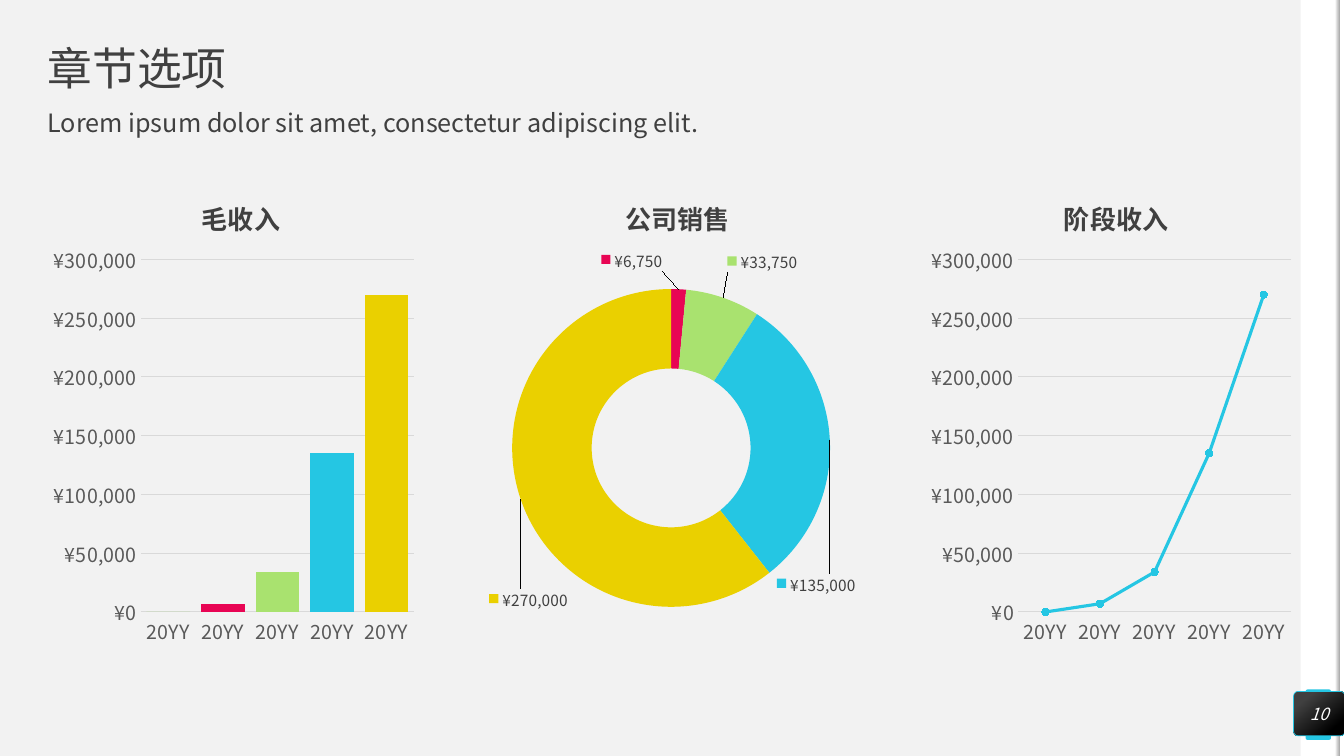
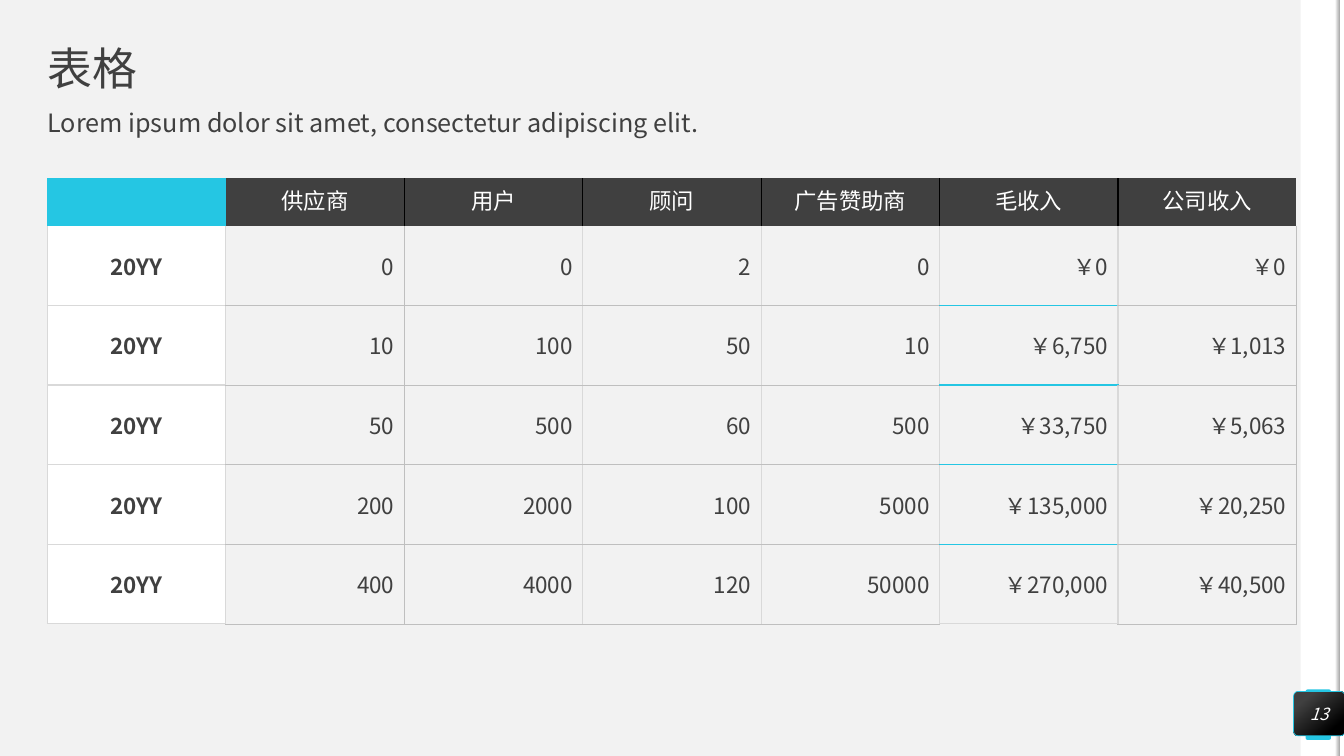
from lxml.etree import SubElement
from pptx import Presentation
from pptx.chart.data import CategoryChartData
from pptx.dml.color import RGBColor
from pptx.enum.chart import XL_CHART_TYPE, XL_MARKER_STYLE, XL_TICK_MARK
from pptx.enum.shapes import MSO_SHAPE
from pptx.enum.text import MSO_ANCHOR, PP_ALIGN
from pptx.oxml import parse_xml
from pptx.oxml.ns import nsdecls, qn
from pptx.util import Inches, Pt

FONT = "Noto Sans CJK SC"
PALE = RGBColor(0xF2, 0xF2, 0xF2)
WHITE = RGBColor(0xFF, 0xFF, 0xFF)
BLACK = RGBColor(0, 0, 0)
INK = RGBColor(0x40, 0x40, 0x40)
GREY = RGBColor(0x59, 0x59, 0x59)
SHADE = RGBColor(0xA6, 0xA6, 0xA6)
RULE = RGBColor(0xBF, 0xBF, 0xBF)
GRID = RGBColor(0xD9, 0xD9, 0xD9)
CYAN = RGBColor(0x25, 0xC6, 0xE3)
LIME = RGBColor(0xA9, 0xE2, 0x6F)
ROSE = RGBColor(0xE8, 0x05, 0x54)
GOLD = RGBColor(0xEA, 0xD0, 0x00)
POINTS = [LIME, ROSE, LIME, CYAN, GOLD]

LEAD = "Lorem ipsum dolor sit amet, consectetur adipiscing elit."
YEN = "[$¥-804]#,##0;[$¥-804]\\-#,##0"
YEARS = ["20YY"] * 5
INCOME = [0, 7000, 34000, 135000, 270000]
SALES = [0, 6750, 33750, 135000, 270000]
CHARTS = [
    ("毛收入", XL_CHART_TYPE.COLUMN_CLUSTERED, YEARS, INCOME),
    ("公司销售", XL_CHART_TYPE.DOUGHNUT, ["1", "2", "3", "4", "5"], SALES),
    ("阶段收入", XL_CHART_TYPE.LINE_MARKERS_STACKED, YEARS, INCOME),
]
# Point number: shift of its label, as shares of the chart's width and height
SHIFTS = {1: (-0.12, -0.14), 2: (0.14, -0.15), 3: (0.07, 0.29), 4: (-0.08, 0.23)}
LEFT, TOP, WIDE, HIGH, STEP = 0.47, 1.65, 3.71, 4.86, 4.35

TABLE = [
    ["", "供应商", "用户", "顾问", "广告赞助商", "毛收入", "公司收入"],
    ["20YY", "0", "0", "2", "0", "￥0", "￥0"],
    ["20YY", "10", "100", "50", "10", "￥6,750", "￥1,013"],
    ["20YY", "50", "500", "60", "500", "￥33,750", "￥5,063"],
    ["20YY", "200", "2000", "100", "5000", "￥135,000", "￥20,250"],
    ["20YY", "400", "4000", "120", "50000", "￥270,000", "￥40,500"],
]
LAST_ROW, LAST_COL, GROSS = len(TABLE) - 1, len(TABLE[0]) - 1, 5


def set_font(font, size, color, bold=False, italic=False):
    font.size, font.bold, font.italic = Pt(size), bold, italic
    font.color.rgb = color
    font.name = FONT
    latin = font._rPr.find(qn("a:latin"))
    latin.addnext(parse_xml(f'<a:ea {nsdecls("a")} typeface="{FONT}"/>'))


def write(frame, text, align=PP_ALIGN.LEFT, spacing=None, **style):
    para = frame.paragraphs[0]
    para.alignment = align
    if spacing:
        para.line_spacing = spacing
    run = para.add_run()
    run.text = text
    set_font(run.font, **style)


def trim(frame, anchor):
    frame.word_wrap, frame.vertical_anchor = True, anchor
    frame.margin_left = frame.margin_right = 0
    frame.margin_top = frame.margin_bottom = 0


def add_text(slide, box, text, anchor=MSO_ANCHOR.TOP, **style):
    frame = slide.shapes.add_textbox(*map(Inches, box)).text_frame
    trim(frame, anchor)
    write(frame, text, **style)


def add_block(slide, box, fill, round_by=None, angle=0):
    """Add a plain shape; fill is one colour or a list of (position, colour)."""
    kind = MSO_SHAPE.RECTANGLE if round_by is None else MSO_SHAPE.ROUNDED_RECTANGLE
    shape = slide.shapes.add_shape(kind, *map(Inches, box))
    shape.shadow.inherit = False
    shape.line.fill.background()
    if round_by is not None:
        shape.adjustments[0] = round_by
    if isinstance(fill, list):
        shape.fill.gradient()
        shape.fill.gradient_angle = angle
        for stop, (place, color) in zip(shape.fill.gradient_stops, fill):
            stop.position, stop.color.rgb = place, color
    else:
        shape.fill.solid()
        shape.fill.fore_color.rgb = fill
    return shape


def add_page(deck, title, number):
    slide = deck.slides.add_slide(deck.slide_layouts[6])
    slide.background.fill.solid()
    slide.background.fill.fore_color.rgb = PALE
    add_block(slide, (12.9, 0, 0.39, 7.5), WHITE)
    add_block(slide, (12.95, 6.84, 0.25, 0.5), CYAN, round_by=0.07)
    add_block(slide, (13.28, 0, 0.05, 7.5), WHITE)
    add_block(slide, (13.24, 0, 0.05, 7.5), [(0, WHITE), (1, SHADE)])
    add_text(slide, (LEFT, 0.47, 12.39, 0.47), title, anchor=MSO_ANCHOR.MIDDLE,
             spacing=0.9, size=32, color=INK)
    add_text(slide, (LEFT, 1.1, 12.39, 0.39), LEAD, spacing=0.9, size=18, color=INK)
    badge = add_block(slide, (12.83, 6.86, 0.51, 0.44), [(0.2, INK), (0.82, BLACK)],
                      round_by=0.1, angle=310)
    badge.line.color.rgb, badge.line.width = CYAN, Pt(0.5)
    trim(badge.text_frame, MSO_ANCHOR.MIDDLE)
    write(badge.text_frame, str(number), align=PP_ALIGN.CENTER,
          size=12, color=WHITE, italic=True)
    return slide


def set_layout(parent, index, inner=False, edge=True, **parts):
    """Place a chart part by shares of the chart's size."""
    for old in parent.findall(qn("c:layout")):
        parent.remove(old)
    layout = parse_xml(f'<c:layout {nsdecls("c")}><c:manualLayout/></c:layout>')
    values = [("layoutTarget", "inner")] if inner else []
    if edge:
        values += [("xMode", "edge"), ("yMode", "edge")]
    for name, value in values + list(parts.items()):
        SubElement(layout[0], qn(f"c:{name}")).set("val", str(value))
    parent.insert(index, layout)


def style_axes(chart):
    for axis in (chart.category_axis, chart.value_axis):
        axis.major_tick_mark = axis.minor_tick_mark = XL_TICK_MARK.NONE
        set_font(axis.tick_labels.font, 14, GREY)
    line = chart.category_axis.format.line
    line.color.rgb, line.width = GRID, Pt(0.75)
    axis = chart.value_axis
    axis.minimum_scale, axis.maximum_scale, axis.major_unit = 0, 300000, 50000
    axis.tick_labels.number_format = YEN
    axis.tick_labels.number_format_is_linked = False
    axis.format.line.fill.background()
    grid = axis.major_gridlines.format.line
    grid.color.rgb, grid.width = GRID, Pt(0.75)


def style_line(series):
    series.smooth = False
    series.format.line.color.rgb, series.format.line.width = CYAN, Pt(2.25)
    mark = series.marker
    mark.style, mark.size = XL_MARKER_STYLE.CIRCLE, 5
    mark.format.fill.solid()
    mark.format.fill.fore_color.rgb = CYAN
    mark.format.line.color.rgb = CYAN


def label_ring(series):
    series.data_labels.show_value = False
    for index, (x, y) in SHIFTS.items():
        set_font(series.points[index].data_label.font, 11, INK)
    for label in series._element.iter(qn("c:dLbl")):
        x, y = SHIFTS[label.idx.val]
        label.find(qn("c:showLegendKey")).set("val", "1")
        form = SubElement(label, qn("c:numFmt"))
        form.set("formatCode", YEN)
        form.set("sourceLinked", "0")
        label.insert(1, form)
        set_layout(label, 1, edge=False, x=x, y=y)


def add_graph(slide, left, title, kind, names, values):
    data = CategoryChartData(number_format=YEN)
    data.categories = names
    data.add_series("Series 1", values)
    box = map(Inches, (left, TOP, WIDE, HIGH))
    chart = slide.shapes.add_chart(kind, *box, data).chart
    chart.has_legend = False
    chart.has_title = True
    write(chart.chart_title.text_frame, title, align=PP_ALIGN.CENTER,
          size=18.6, color=INK, bold=True)
    half = len(title) * 18.6 / 72 / WIDE / 2
    set_layout(chart.chart_title._element, 1, x=round(0.5 - half, 2), y=0.05)
    ring = kind == XL_CHART_TYPE.DOUGHNUT
    x, y, w, h = (0.07, 0.25, 0.85, 0.65) if ring else (0.25, 0.19, 0.73, 0.72)
    area = chart._chartSpace.chart.plotArea
    set_layout(area, 0, inner=True, x=x, y=y, w=w, h=h)
    plot, series = chart.plots[0], chart.plots[0].series[0]
    if ring:
        label_ring(series)
    else:
        style_axes(chart)
        plot.vary_by_categories = False
    if kind == XL_CHART_TYPE.LINE_MARKERS_STACKED:
        style_line(series)
        return
    if not ring:
        plot.gap_width = 25
    for index, color in enumerate(POINTS):
        fill = series.points[index].format.fill
        fill.solid()
        fill.fore_color.rgb = color


def upright(row, edge):
    """Colour and width of the line left of column number edge."""
    if row == 0:
        return (BLACK, 1) if 1 < edge <= LAST_COL else None
    return (RULE, 0.25) if edge in (2, LAST_COL + 1) else (GRID, 1)


def level(edge, col):
    """Colour and width of the line above row number edge."""
    if edge < 2:
        return None
    if col == 0 or (col == GROSS and edge > LAST_ROW):
        return GRID, 1
    return (CYAN, 1) if col == GROSS else (RULE, 0.25)


def set_borders(cell, row, col):
    sides = {"L": upright(row, col), "R": upright(row, col + 1),
             "T": level(row, col), "B": level(row + 1, col)}
    props = cell._tc.get_or_add_tcPr()
    for index, (side, line) in enumerate(sides.items()):
        color, width = line or (None, 0)
        paint = (f'<a:solidFill><a:srgbClr val="{color}"/></a:solidFill>'
                 if line else "<a:noFill/>")
        props.insert(index, parse_xml(
            f'<a:ln{side} {nsdecls("a")} w="{Pt(width)}">{paint}</a:ln{side}>'))


def add_grid(slide):
    shape = slide.shapes.add_table(
        len(TABLE), len(TABLE[0]), *map(Inches, (LEFT, 1.77, 12.39, 4.42)))
    table = shape.table
    table.first_row = table.horz_banding = False
    for col in table.columns:
        col.width = Inches(1.77)
    for r, texts in enumerate(TABLE):
        table.rows[r].height = Inches(0.79 if r else 0.47)
        for c, text in enumerate(texts):
            cell = table.cell(r, c)
            head, first = r == 0, c == 0
            if head:
                fill = CYAN if first else INK
            else:
                fill = WHITE if first else PALE
            cell.fill.solid()
            cell.fill.fore_color.rgb = fill
            set_borders(cell, r, c)
            cell.vertical_anchor = MSO_ANCHOR.TOP if head else MSO_ANCHOR.MIDDLE
            if text:
                write(cell.text_frame, text, size=16, color=WHITE if head else INK,
                      align=PP_ALIGN.CENTER if head or first else PP_ALIGN.RIGHT,
                      bold=first)


def main():
    deck = Presentation()
    deck.slide_width, deck.slide_height = Inches(13.33), Inches(7.5)
    slide = add_page(deck, "章节选项", 10)
    for index, chart in enumerate(CHARTS):
        add_graph(slide, LEFT + index * STEP, *chart)
    add_grid(add_page(deck, "表格", 13))
    deck.save("out.pptx")


if __name__ == "__main__":
    main()
